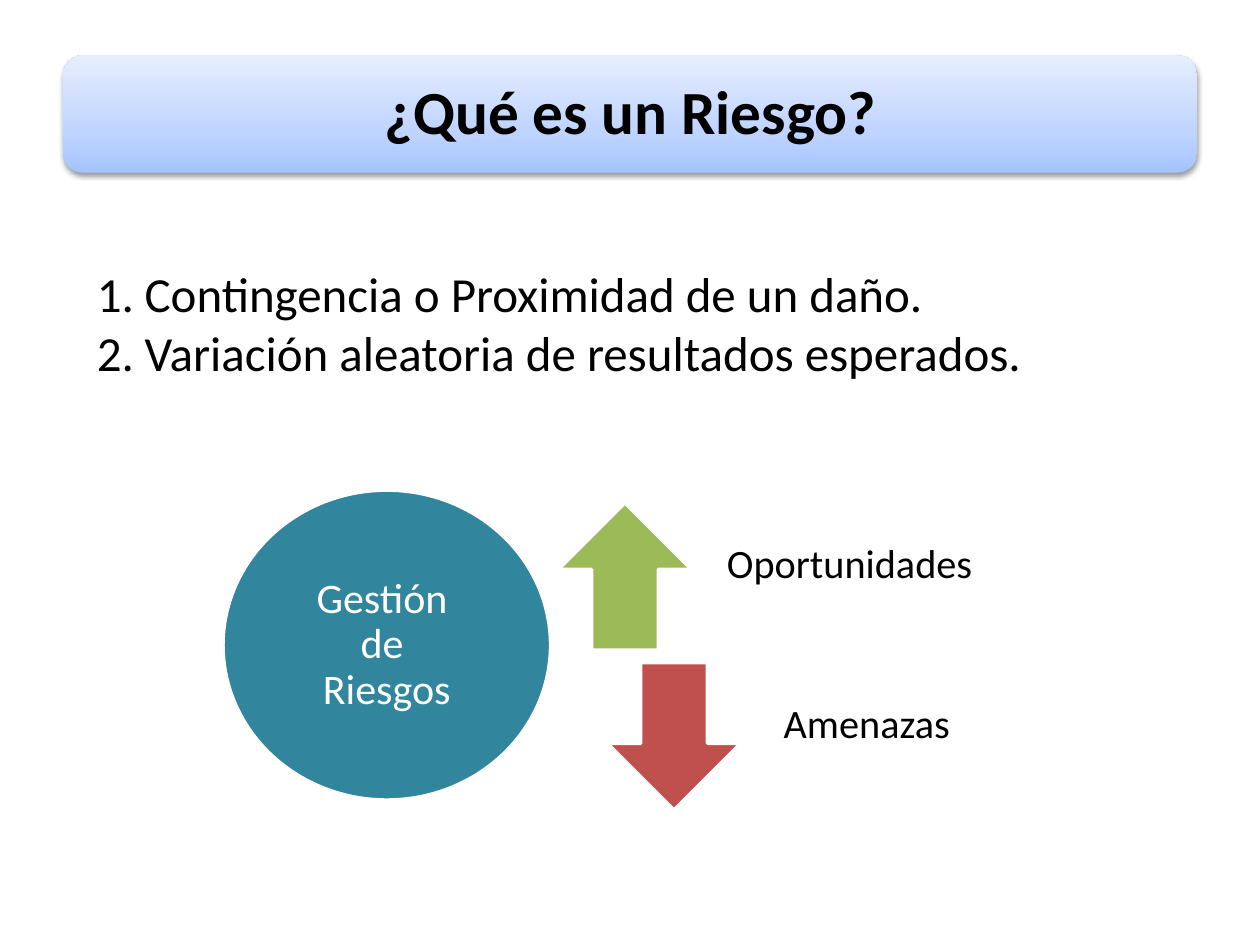
from dataclasses import dataclass

from lxml.etree import SubElement
from pptx import Presentation
from pptx.dml.color import RGBColor
from pptx.enum.shapes import MSO_SHAPE
from pptx.enum.text import MSO_ANCHOR, MSO_AUTO_SIZE, PP_ALIGN
from pptx.oxml import parse_xml
from pptx.oxml.ns import nsdecls, qn
from pptx.util import Inches, Pt


@dataclass(frozen=True)
class Theme:
    font: str = "Calibri"
    black: str = "000000"
    white: str = "FFFFFF"
    teal: str = "31859C"
    green: str = "9BBB59"
    red: str = "C0504D"
    banner_stops: tuple = ((0, "A4C4FF"), (35, "BFD4FF"), (100, "E6EEFF"))
    title_size: int = 35
    list_size: int = 28
    circle_size: int = 24
    label_size: int = 23
    outline_width: int = 2


class SlideBuilder:
    def __init__(self, slide, theme):
        self.slide = slide
        self.theme = theme

    def shape(self, kind, box, color):
        shape = self.slide.shapes.add_shape(kind, *map(Inches, box))
        shape.shadow.inherit = False
        shape.fill.solid()
        shape.fill.fore_color.rgb = RGBColor.from_string(color)
        shape.line.color.rgb = RGBColor.from_string(self.theme.white)
        shape.line.width = Pt(self.theme.outline_width)
        return shape

    def banner(self, box):
        """Rounded bar with a three-stop gradient and a soft shadow below."""
        shape = self.shape(MSO_SHAPE.ROUNDED_RECTANGLE, box, self.theme.white)
        shape.line.fill.background()
        stops = "".join(
            f'<a:gs pos="{position * 1000}"><a:srgbClr val="{color}"/></a:gs>'
            for position, color in self.theme.banner_stops
        )
        gradient = parse_xml(
            f'<a:gradFill {nsdecls("a")} rotWithShape="1"><a:gsLst>{stops}</a:gsLst>'
            '<a:lin ang="16200000" scaled="0"/></a:gradFill>'
        )
        properties = shape.element.spPr
        properties.replace(properties.find(qn("a:solidFill")), gradient)
        effects = properties.find(qn("a:effectLst"))
        shadow = SubElement(
            effects, qn("a:outerShdw"), blurRad=str(Pt(3.1)), dist=str(Pt(1.6)),
            dir="5400000", rotWithShape="0",
        )
        shadow_color = SubElement(shadow, qn("a:srgbClr"), val=self.theme.black)
        SubElement(shadow_color, qn("a:alpha"), val="38000")

    def text(self, box, paragraphs, size, color, bold=False, align=PP_ALIGN.LEFT,
             anchor=MSO_ANCHOR.MIDDLE, insets=(0, 0, 0, 0), line_spacing=0.9):
        """Insets are left, top, right and bottom, in inches."""
        frame = self.slide.shapes.add_textbox(*map(Inches, box)).text_frame
        frame.word_wrap = True
        frame.vertical_anchor = anchor
        (frame.margin_left, frame.margin_top,
         frame.margin_right, frame.margin_bottom) = map(Inches, insets)
        for index, content in enumerate(paragraphs):
            paragraph = frame.add_paragraph() if index else frame.paragraphs[0]
            paragraph.text = content
            paragraph.alignment = align
            paragraph.line_spacing = line_spacing
            for run in paragraph.runs:
                run.font.name = self.theme.font
                run.font.size = Pt(size)
                run.font.bold = bold
                run.font.color.rgb = RGBColor.from_string(color)
        return frame

    def numbered_list(self, box, items):
        frame = self.text(box, items, self.theme.list_size, self.theme.black,
                          anchor=MSO_ANCHOR.TOP, insets=(0.1, 0.05, 0.1, 0.05),
                          line_spacing=1.0)
        frame.word_wrap = False
        frame.auto_size = MSO_AUTO_SIZE.SHAPE_TO_FIT_TEXT
        for paragraph in frame.paragraphs:
            properties = paragraph._p.get_or_add_pPr()
            properties.set("marL", str(Inches(0.38)))
            properties.set("indent", str(Inches(-0.38)))
            SubElement(properties, qn("a:buFont"), typeface=self.theme.font)
            SubElement(properties, qn("a:buAutoNum"), type="arabicPeriod")

    def labelled_arrow(self, kind, color, label, arrow_left, label_left, top):
        arrow_width, height, right_edge = 1.06, 1.17, 8.23
        self.shape(kind, (arrow_left, top, arrow_width, height), color)
        self.text((label_left, top, right_edge - label_left, height), [label],
                  self.theme.label_size, self.theme.black,
                  insets=(0.18, 0, 0.18, 0.18))


def main():
    presentation = Presentation()
    presentation.slide_width = Inches(10)
    presentation.slide_height = Inches(7.5)
    theme = Theme()
    slide = presentation.slides.add_slide(presentation.slide_layouts[6])
    builder = SlideBuilder(slide, theme)

    builder.banner((0.5, 0.44, 9, 0.93))
    builder.text((0.55, 0.49, 8.91, 0.84), ["¿Qué es un Riesgo?"],
                 theme.title_size, theme.black, bold=True,
                 align=PP_ALIGN.CENTER, insets=(0.15,) * 4)

    builder.numbered_list((0.67, 2.04, 7.61, 1.04), [
        "Contingencia o Proximidad de un daño.",
        "Variación aleatoria de resultados esperados.",
    ])

    builder.labelled_arrow(MSO_SHAPE.UP_ARROW, theme.green, "Oportunidades",
                           4.43, 5.59, 3.99)
    builder.labelled_arrow(MSO_SHAPE.DOWN_ARROW, theme.red, "Amenazas",
                           4.82, 6.04, 5.26)

    builder.shape(MSO_SHAPE.OVAL, (1.77, 3.89, 2.6, 2.46), theme.teal)
    builder.text((2.15, 4.29, 1.84, 1.66), ["Gestión \nde \nRiesgos"],
                 theme.circle_size, theme.white,
                 align=PP_ALIGN.CENTER, insets=(0.02,) * 4)

    presentation.save("out.pptx")


if __name__ == "__main__":
    main()
